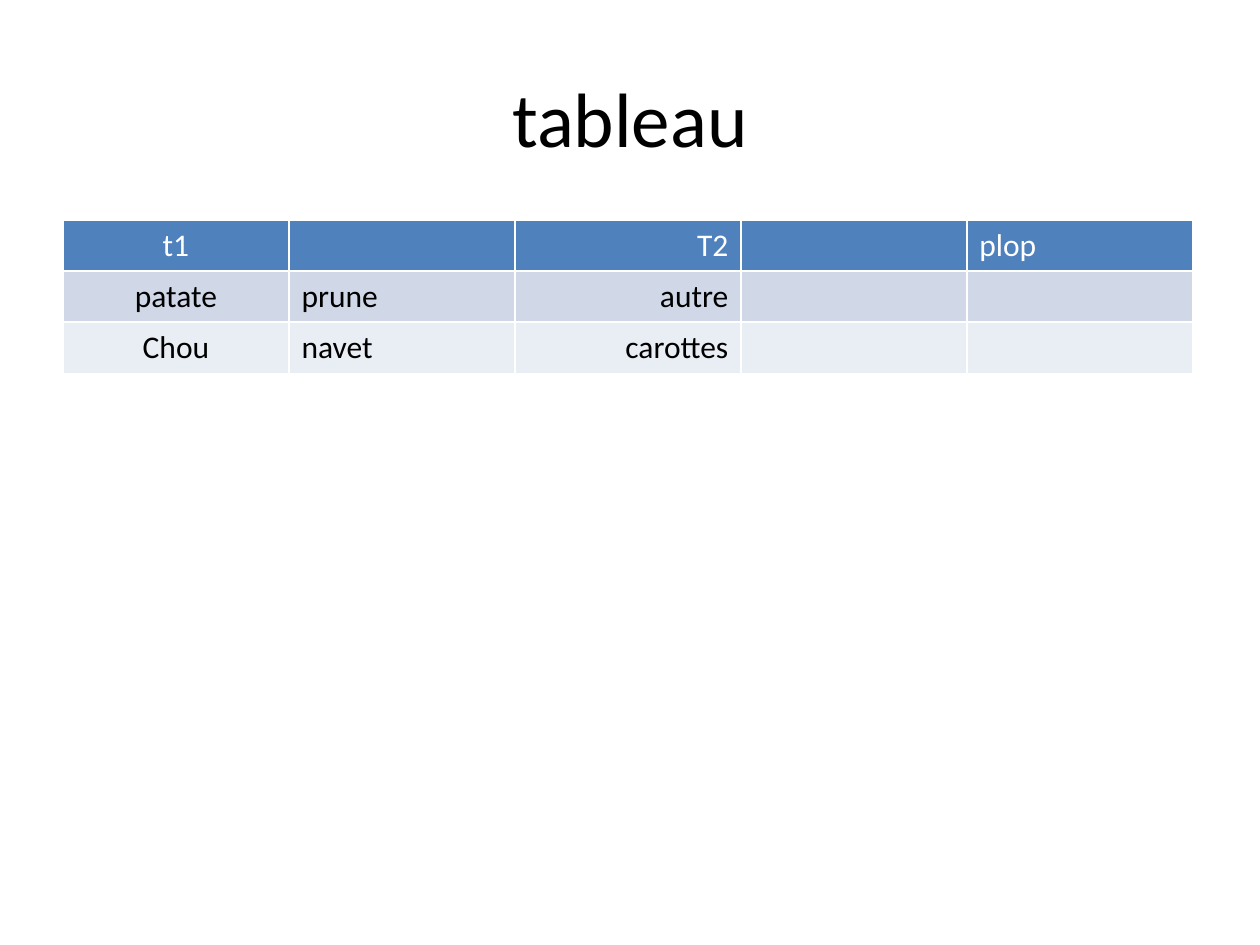
from pptx import Presentation
from pptx.dml.color import RGBColor
from pptx.enum.text import MSO_ANCHOR, PP_ALIGN
from pptx.util import Pt

PX = 914400 // 126


def color(code):
    return RGBColor.from_string(code)


def write(frame, text, size=18, ink="000000", align=PP_ALIGN.LEFT):
    para = frame.paragraphs[0]
    para.alignment = align
    run = para.add_run()
    run.text = text
    run.font.name = "Calibri"
    run.font.size = Pt(size)
    run.font.bold = False
    run.font.color.rgb = color(ink)


deck = Presentation()
deck.slide_width = 1260 * PX
deck.slide_height = 945 * PX
slide = deck.slides.add_slide(deck.slide_layouts[5])

title = slide.shapes.title
title.left, title.top, title.width, title.height = [
    n * PX for n in (63, 38, 1134, 157)]
title.text_frame.vertical_anchor = MSO_ANCHOR.MIDDLE
write(title.text_frame, "tableau", size=44, align=PP_ALIGN.CENTER)

rows = [
    ["t1", "", "T2", "", "plop"],
    ["patate", "prune", "autre", "", ""],
    ["Chou", "navet", "carottes", "", ""],
]
looks = [("4F81BD", "FFFFFF"), ("D0D8E8", "000000"), ("E9EDF4", "000000")]
aligns = [PP_ALIGN.CENTER, PP_ALIGN.LEFT, PP_ALIGN.RIGHT,
          PP_ALIGN.LEFT, PP_ALIGN.LEFT]
wide, high = 226, 51

table = slide.shapes.add_table(
    len(rows), len(aligns), 63 * PX, 220 * PX,
    wide * len(aligns) * PX, high * len(rows) * PX).table
for col in table.columns:
    col.width = wide * PX
for r, (row, (fill, ink)) in enumerate(zip(rows, looks)):
    table.rows[r].height = high * PX
    for c, (text, align) in enumerate(zip(row, aligns)):
        cell = table.cell(r, c)
        cell.fill.solid()
        cell.fill.fore_color.rgb = color(fill)
        if text:
            write(cell.text_frame, text, ink=ink, align=align)

deck.save("out.pptx")
